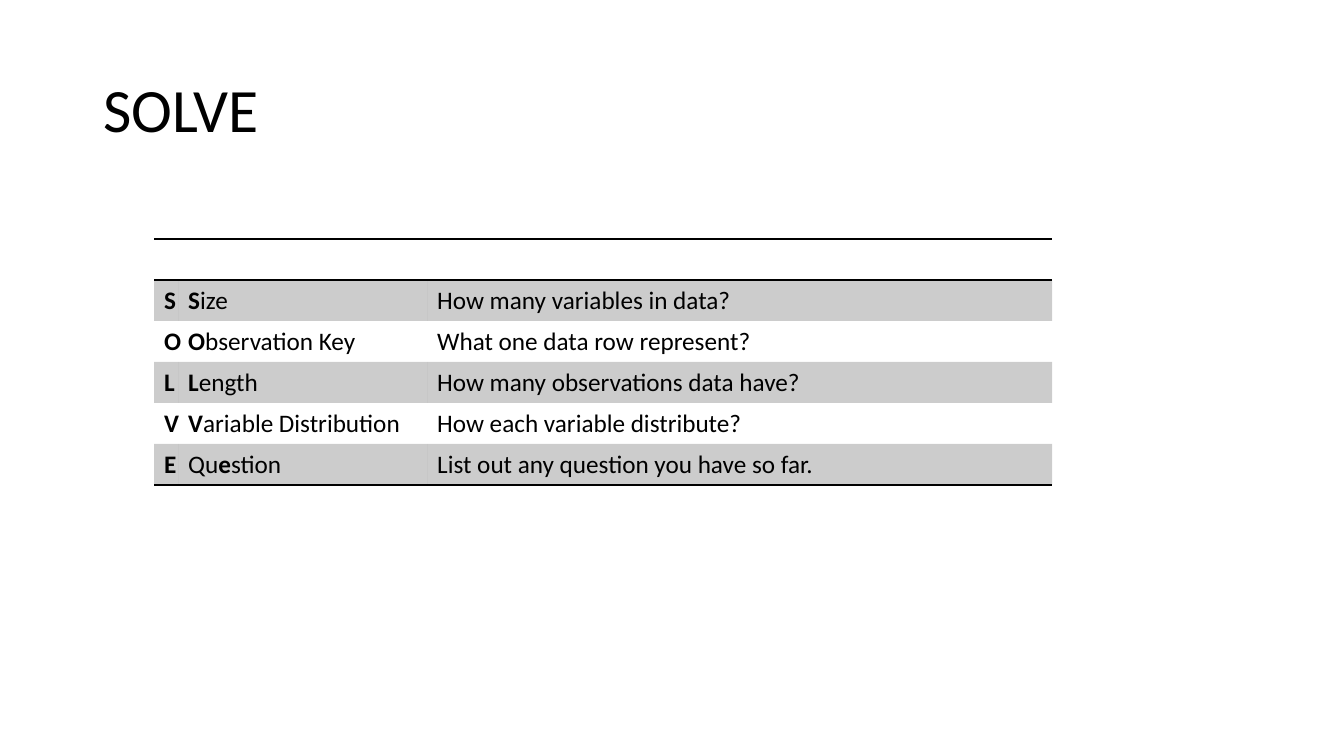
from lxml.etree import SubElement
from pptx import Presentation
from pptx.dml.color import RGBColor
from pptx.enum.text import MSO_ANCHOR, PP_ALIGN
from pptx.oxml.ns import qn
from pptx.util import Pt

PX = 914400 / 100.8
COLORS = {"ink": "000000"}
INK = RGBColor.from_string(COLORS["ink"])


def px(n):
    return round(n * PX)


def rule(cell, side):
    line = SubElement(cell._tc.get_or_add_tcPr(), qn("a:ln" + side), w=str(Pt(1)))
    fill = SubElement(line, qn("a:solidFill"))
    SubElement(fill, qn("a:srgbClr"), val=COLORS["ink"])


deck = Presentation()
deck.slide_width, deck.slide_height = px(1344), px(756)
slide = deck.slides.add_slide(deck.slide_layouts[5])

# Title
title = slide.shapes.title
title.left, title.top, title.width, title.height = px(93), px(40), px(1159), px(146)
title.text_frame.text = "SOLVE"
title.text_frame.vertical_anchor = MSO_ANCHOR.MIDDLE
para = title.text_frame.paragraphs[0]
para.alignment = PP_ALIGN.LEFT
para.line_spacing = 0.9
para.font.name, para.font.size = "Calibri", Pt(44)
para.font.color.rgb = INK

# Table text: an empty header, then the steps; asterisks enclose bold
rows = [
    ("", "", ""),
    ("*S*", "*S*ize", "How many variables in data?"),
    ("*O*", "*O*bservation Key", "What one data row represent?"),
    ("*L*", "*L*ength", "How many observations data have?"),
    ("*V*", "*V*ariable Distribution", "How each variable distribute?"),
    ("*E*", "Qu*e*stion", "List out any question you have so far."),
]
widths = [24, 249, 625]
high = 41

# Table frame, without style
frame = slide.shapes.add_table(len(rows), len(widths), px(154), px(239),
                               px(sum(widths)), px(high * len(rows)))
table = frame.table
table.first_row = table.horz_banding = False
style = frame._element.find(".//" + qn("a:tableStyleId"))
style.text = "{2D5ABB26-0587-4C30-8999-92F81FD0307C}"
for col, width in zip(table.columns, widths):
    col.width = px(width)

# Cells: rules round the header and at the foot, grey on odd rows
for r, row in enumerate(rows):
    table.rows[r].height = px(high)
    for c, text in enumerate(row):
        cell = table.cell(r, c)
        if r == 0:
            rule(cell, "T")
        if r in (0, len(rows) - 1):
            rule(cell, "B")
        if r % 2:
            cell.fill.solid()
            cell.fill.fore_color.rgb = INK
            tint = cell._tc.tcPr.find(qn("a:solidFill") + "/" + qn("a:srgbClr"))
            SubElement(tint, qn("a:alpha"), val="20000")
        else:
            cell.fill.background()
        para = cell.text_frame.paragraphs[0]
        para.alignment = PP_ALIGN.LEFT if c else PP_ALIGN.CENTER
        para.font.name, para.font.size = "Calibri", Pt(18)
        para.font.color.rgb = INK
        for i, part in enumerate(text.split("*")):
            if part:
                run = para.add_run()
                run.text = part
                run.font.bold = i % 2 == 1

deck.save("out.pptx")
